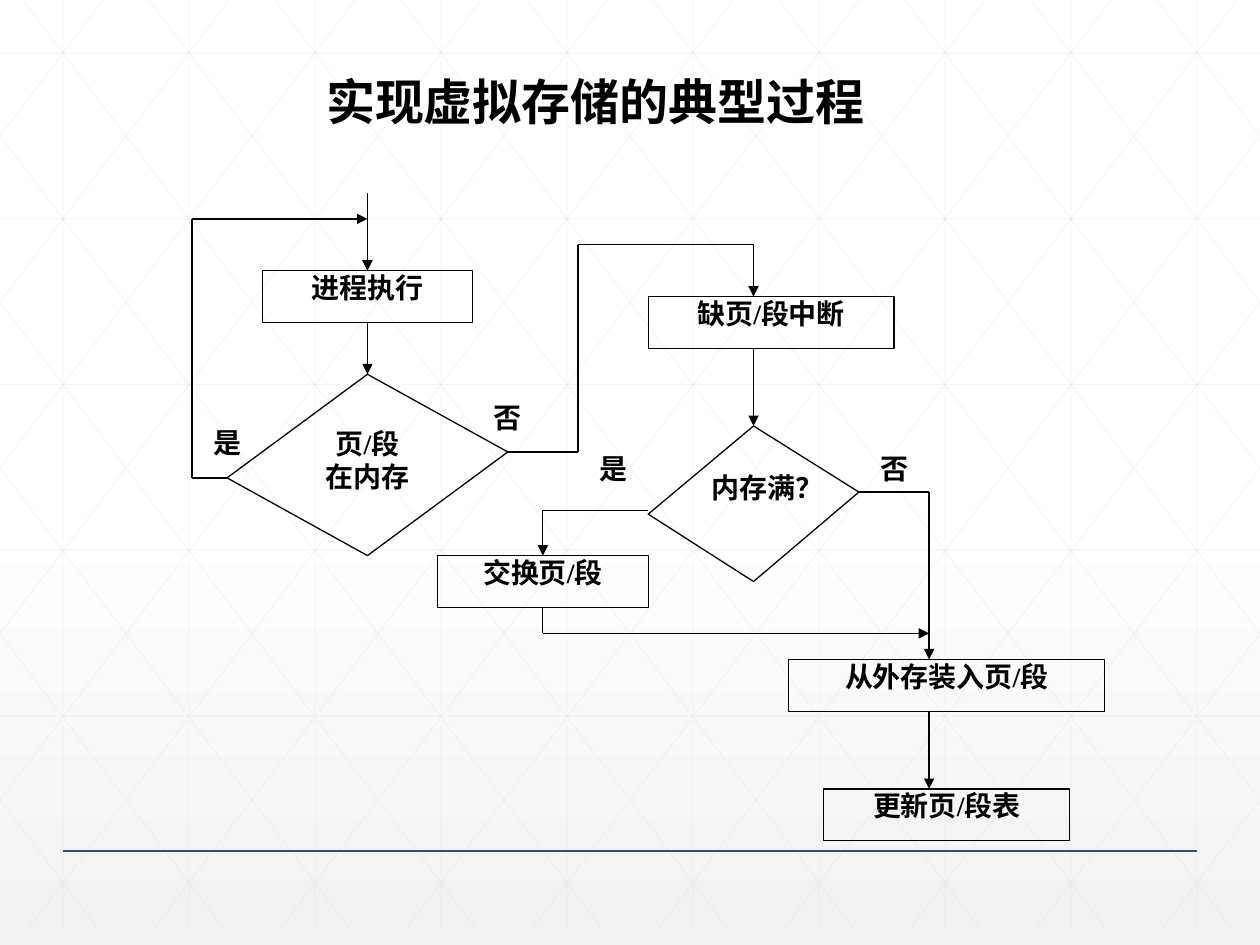
from lxml import etree
from pptx import Presentation
from pptx.dml.color import RGBColor
from pptx.enum import lang, shapes, text
from pptx.oxml import ns
from pptx.util import Cm, Pt

BLACK = RGBColor(0x00, 0x00, 0x00)
WHITE = RGBColor(0xFF, 0xFF, 0xFF)
MIST = RGBColor(0xF2, 0xF2, 0xF2)
GRID = RGBColor(0xD9, 0xD9, 0xD9)
NAVY = RGBColor(0x38, 0x4C, 0x81)
TOP, BOTTOM = 0, 2


def add_line(parent, start, end, color=BLACK, width=0.75, arrow=False, alpha=None):
    c = parent.add_connector(shapes.MSO_CONNECTOR.STRAIGHT, *start, *end)
    c.line.color.rgb = color
    c.line.width = Pt(width)
    spPr = c.element.spPr
    ln = spPr.find(ns.qn("a:ln"))
    if alpha:
        clr = ln.find(".//" + ns.qn("a:srgbClr"))
        etree.SubElement(clr, ns.qn("a:alpha")).set("val", str(alpha * 1000))
    if arrow:
        etree.SubElement(ln, ns.qn("a:tailEnd")).set("type", "triangle")
    etree.SubElement(spPr, ns.qn("a:effectLst"))
    return c


def set_text(sp, content, font="Times New Roman", size=16):
    tf = sp.text_frame
    tf.text = content
    tf.word_wrap = True
    tf.auto_size = text.MSO_AUTO_SIZE.NONE
    tf.vertical_anchor = text.MSO_ANCHOR.TOP
    tf.margin_left = tf.margin_right = tf.margin_top = tf.margin_bottom = 0
    for p in tf.paragraphs:
        p.alignment = text.PP_ALIGN.CENTER
        for r in p.runs:
            r.font.name = font
            r.font.size = Pt(size)
            r.font.bold = True
            r.font.color.rgb = BLACK
            r.font.language_id = lang.MSO_LANGUAGE_ID.SIMPLIFIED_CHINESE


class Flow:
    def __init__(self, s, box, cols, rows):
        self.shapes = s.shapes
        self.left, self.top, width, height = box
        self.dx, self.dy = width / cols, height / rows

    def point(self, col, row):
        return Cm(self.left + col * self.dx), Cm(self.top + row * self.dy)

    def frame(self, col, row, cols, rows):
        return (*self.point(col, row), Cm(cols * self.dx), Cm(rows * self.dy))

    def outline(self, sp):
        sp.shadow.inherit = False
        sp.fill.background()
        sp.line.color.rgb = BLACK
        sp.line.width = Pt(0.75)

    def step(self, content, col, row, cols):
        sp = self.shapes.add_shape(shapes.MSO_SHAPE.RECTANGLE, *self.frame(col, row, cols, 2))
        self.outline(sp)
        set_text(sp, content)
        return sp

    def label(self, content, col, row, cols=2, rows=2):
        set_text(self.shapes.add_textbox(*self.frame(col, row, cols, rows)), content)

    def decision(self, *corners):
        first, *rest = [self.point(*corner) for corner in corners]
        fb = self.shapes.build_freeform(*first)
        fb.add_line_segments(rest, close=True)
        self.outline(fb.convert_to_shape())

    def route(self, *stops, begin=None, end=None):
        pts = [self.point(*stop) for stop in stops]
        last = len(pts) - 2
        for i, (a, b) in enumerate(zip(pts, pts[1:])):
            c = add_line(self.shapes, a, b, arrow=i == last)
            if begin and i == 0:
                c.begin_connect(begin, BOTTOM)
            if end and i == last:
                c.end_connect(end, TOP)


def add_backdrop(s, box):
    left, top, width, height = box
    fill = s.background.fill
    fill.gradient()
    fill.gradient_angle = 270
    for stop, color, position in zip(fill.gradient_stops, (WHITE, MIST), (0.53, 1)):
        stop.color.rgb = color
        stop.position = position

    grid = s.shapes.add_group_shape().shapes
    pitch, run = 2.54, 14.21
    slope = height / run

    def grid_line(x1, y1, x2, y2):
        add_line(grid, (Cm(left + x1), Cm(top + y1)), (Cm(left + x2), Cm(top + y2)),
                 GRID, 0.5, alpha=25)

    for i in range(10):
        x = pitch * (i + 0.5)
        grid_line(x, 0, x, height)
    for i in range(6):
        y = 1.07 + 3.34 * i
        grid_line(0, y, width, y)
    for i in range(-5, 10):
        x = 0.46 + pitch * i
        x1, x2 = max(x, 0), min(x + run, width)
        y1, y2 = (x1 - x) * slope, (x2 - x) * slope
        grid_line(x1, y1, x2, y2)
        grid_line(width - x1, y1, width - x2, y2)

    y = Cm(top + 17.15)
    add_line(s.shapes, (Cm(left + 1.27), y), (Cm(left + width - 1.27), y), NAVY, 1)


def add_title(s, box):
    title = s.shapes.title
    title.left, title.top, title.width, title.height = map(Cm, box)
    set_text(title, "实现虚拟存储的典型过程", "Arial", 28)
    s.shapes.element.append(title.element)


def add_access_check(s, box):
    flow = Flow(s, box, 16, 14)
    execute = flow.step("进程执行", 2, 3, 6)
    flow.decision((5, 7), (9, 10), (5, 14), (1, 11))
    flow.label("页/段\n在内存", 3, 9, 4, 4)
    flow.label("是", 0, 9)
    flow.label("否", 8, 8)
    flow.route((5, 0), (5, 3), end=execute)
    flow.route((5, 5), (5, 7), begin=execute)
    flow.route((1, 11), (0, 11), (0, 1), (5, 1))
    flow.route((9, 10), (11, 10), (11, 2), (16, 2), (16, 4))


def add_fault_handling(s, box):
    flow = Flow(s, box, 19, 23)
    flow.step("缺页/段中断", 6, 2, 7)
    swap = flow.step("交换页/段", 0, 12, 6)
    flow.step("从外存装入页/段", 10, 16, 9)
    flow.step("更新页/段表", 11, 21, 7)
    flow.decision((9, 7), (12, 9.55), (9, 13), (6, 10.4))
    flow.label("内存满？", 7.5, 8.7, 3, 3.4)
    flow.label("是", 4, 8)
    flow.label("否", 12, 8)
    flow.route((9, 4), (9, 7))
    flow.route((6, 10.25), (3, 10.25), (3, 12), end=swap)
    flow.route((3, 14), (3, 15), (14, 15), begin=swap)
    flow.route((12, 9.55), (14, 9.55), (14, 16))
    flow.route((14, 18), (14, 21))


def main():
    prs = Presentation()
    prs.slide_width, prs.slide_height = Cm(25.4), Cm(19.05)
    s = prs.slides.add_slide(prs.slide_layouts[5])
    add_backdrop(s, (0, 0, 25.4, 18.72))
    add_title(s, (2.79, 1.45, 18.42, 1.04))
    add_access_check(s, (3.87, 3.89, 11.32, 7.31))
    add_fault_handling(s, (8.82, 4.93, 13.45, 12.02))
    prs.save("out.pptx")


if __name__ == "__main__":
    main()
